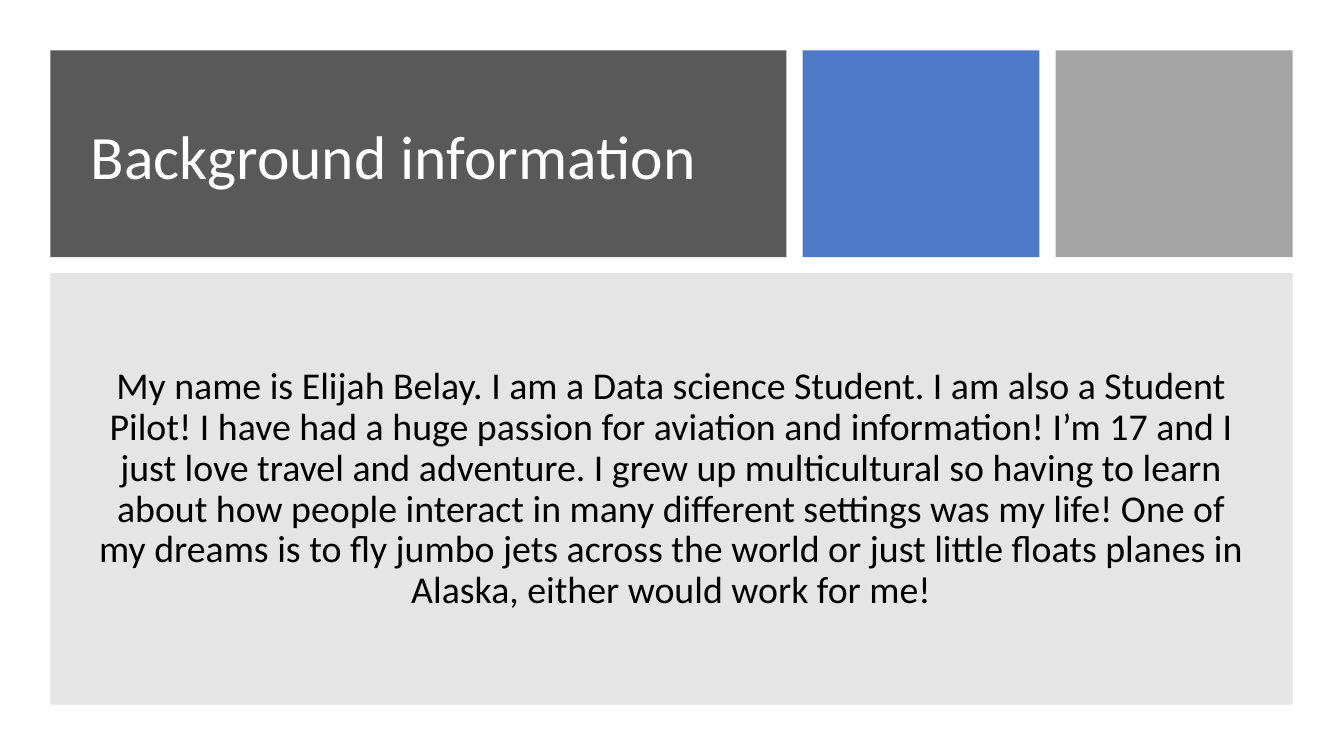
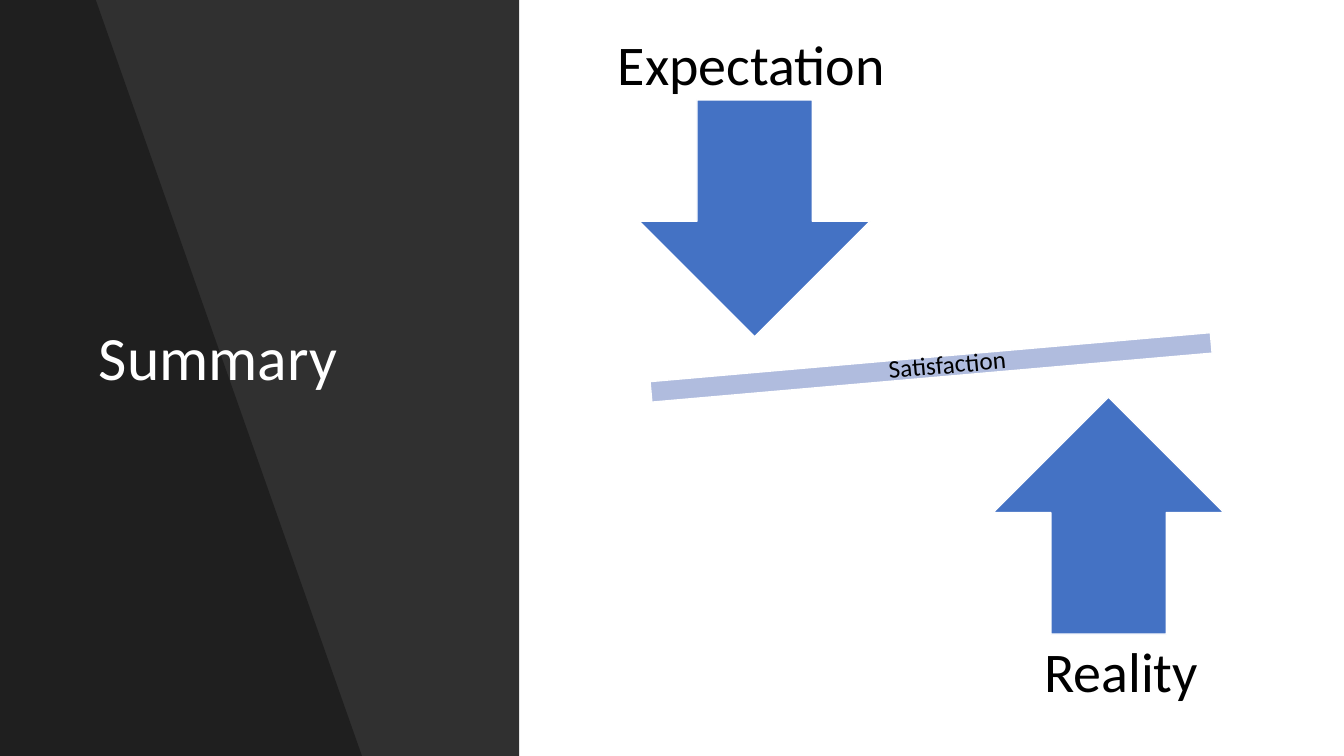
from lxml import etree
from pptx import Presentation
from pptx.dml.color import RGBColor
from pptx.enum.shapes import MSO_SHAPE
from pptx.enum.text import MSO_ANCHOR, MSO_AUTO_SIZE, PP_ALIGN
from pptx.oxml.ns import qn
from pptx.util import Inches, Pt

RECTANGLE = MSO_SHAPE.RECTANGLE
MINUS = MSO_SHAPE.MATH_MINUS
DOWN = MSO_SHAPE.DOWN_ARROW
UP = MSO_SHAPE.UP_ARROW
LEFT, CENTER = PP_ALIGN.LEFT, PP_ALIGN.CENTER
TOP, MIDDLE = MSO_ANCHOR.TOP, MSO_ANCHOR.MIDDLE

COLORS = {
    "white": "FFFFFF",
    "black": "000000",
    "charcoal": "595959",
    "blue": "4472C4",
    "silver": "A5A5A5",
    "gray": "808080",
    "pale_blue": "B0BCDE",
}
FONT = "Calibri"
TITLE_STYLE = {"size": 44, "color": "white", "anchor": MIDDLE, "line_spacing": 0.9}


def paint(shape, color, opacity=100, outline=None):
    shape.shadow.inherit = False
    shape.fill.solid()
    shape.fill.fore_color.rgb = RGBColor.from_string(COLORS[color])
    if opacity < 100:
        tint = shape.fill._xPr.find(qn("a:solidFill"))[0]
        etree.SubElement(tint, qn("a:alpha")).set("val", str(opacity * 1000))
    if outline:
        shape.line.color.rgb = RGBColor.from_string(COLORS[outline])
        shape.line.width = Pt(1)
    else:
        shape.line.fill.background()


def write(holder, box, text, size, color="black", align=LEFT, anchor=TOP, line_spacing=1.0, rotation=0):
    holder.left, holder.top, holder.width, holder.height = map(Inches, box)
    holder.rotation = rotation
    frame = holder.text_frame
    frame.text = text
    paragraph = frame.paragraphs[0]
    frame_format = {"word_wrap": True, "auto_size": MSO_AUTO_SIZE.NONE, "vertical_anchor": anchor}
    paragraph_format = {"alignment": align, "line_spacing": line_spacing}
    font_format = {"name": FONT, "size": Pt(size), "bold": False}
    for target, values in ((frame, frame_format), (paragraph, paragraph_format), (paragraph.runs[0].font, font_format)):
        for attribute, value in values.items():
            setattr(target, attribute, value)
    paragraph.runs[0].font.color.rgb = RGBColor.from_string(COLORS[color])


deck = Presentation()
deck.slide_width = Inches(13.33)
deck.slide_height = Inches(7.5)
title_only = deck.slide_layouts[5]

background = deck.slides.add_slide(title_only)
panels = [
    ((0.5, 0.5, 7.3, 2.05), "charcoal", 100),
    ((7.96, 0.5, 2.35, 2.05), "blue", 95),
    ((10.47, 0.5, 2.35, 2.05), "silver", 100),
    ((0.5, 2.71, 12.32, 4.28), "gray", 20),
]
for box, color, opacity in panels:
    panel = background.shapes.add_shape(RECTANGLE, *map(Inches, box))
    paint(panel, color, opacity)

heading = background.shapes.title
write(heading, (0.8, 0.8, 6.66, 1.56), "Background information", **TITLE_STYLE)
background.shapes.element.append(heading.element)

biography = (
    "My name is Elijah Belay. I am a Data science Student. I am also a Student Pilot! "
    "I have had a huge passion for aviation and information! I’m 17 and I just love travel "
    "and adventure. I grew up multicultural so having to learn about how people interact in "
    "many different settings was my life! One of my dreams is to fly jumbo jets across the "
    "world or just little floats planes in Alaska, either would work for me!"
)
story = background.shapes.add_textbox(0, 0, 0, 0)
write(story, (0.86, 3.06, 11.59, 3.59), biography, 27, align=CENTER, anchor=MIDDLE, line_spacing=0.9)

summary = deck.slides.add_slide(title_only)
side_band = summary.shapes.add_shape(RECTANGLE, 0, 0, Inches(5.15), Inches(7.5))
paint(side_band, "black", 81)
outline = summary.shapes.build_freeform(0, 0)
outline.add_line_segments(
    [(Inches(x), Inches(y)) for x, y in ((0.95, 0), (3.59, 7.5), (0, 7.5))], close=True
)
paint(outline.convert_to_shape(), "black", 35)

heading = summary.shapes.title
write(heading, (0.88, 0.7, 3.59, 5.75), "Summary", **TITLE_STYLE)
summary.shapes.element.append(heading.element)

balance = [
    (MINUS, (5.44, 3.21, 7.59, 0.87), "pale_blue", 355),
    (DOWN, (6.34, 0.99, 2.29, 2.35), "blue", 0),
    (UP, (9.85, 3.94, 2.29, 2.35), "blue", 0),
]
for kind, box, color, rotation in balance:
    piece = summary.shapes.add_shape(kind, *map(Inches, box))
    piece.rotation = rotation
    paint(piece, color, outline="white")

labels = [
    ("Reality", (10.26, 6.27, 2.14, 0.77), 40, 0),
    ("Expectation", (6.03, 0.24, 2.96, 0.77), 40, 0),
    ("Satisfaction", (8.71, 3.37, 2.21, 0.4), 18, 354.8),
]
for text, box, size, rotation in labels:
    label = summary.shapes.add_textbox(0, 0, 0, 0)
    write(label, box, text, size, rotation=rotation)

deck.save("out.pptx")
